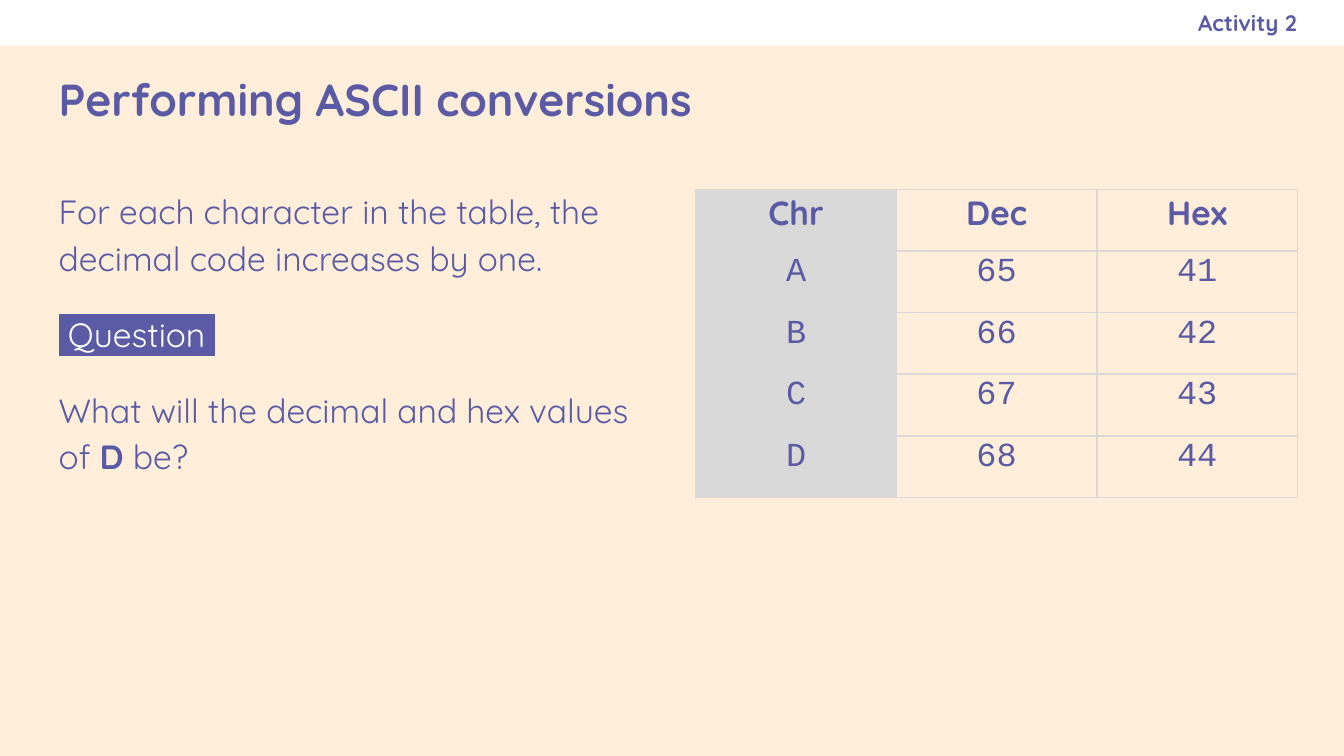
from dataclasses import dataclass

from lxml import etree
from pptx import Presentation
from pptx import util as u
from pptx.dml.color import RGBColor
from pptx.enum import shapes, text
from pptx.oxml import ns


@dataclass(frozen=True)
class Theme:
    background: str = "FFEFDA"
    band: str = "FFFFFF"
    ink: str = "5B5BA5"
    grid: str = "D9D9D9"
    font: str = "Quicksand"
    code_font: str = "Courier New"
    title_size: int = 24
    body_size: int = 18
    label_size: int = 12


@dataclass(frozen=True)
class Box:
    left: float
    top: float
    width: float
    height: float

    def lengths(self) -> list[u.Cm]:
        return [u.Cm(value) for value in (self.left, self.top, self.width, self.height)]


@dataclass(frozen=True)
class Piece:
    words: str
    bold: bool = False
    highlighted: bool = False


@dataclass(frozen=True)
class Passage:
    pieces: tuple[Piece, ...]
    before: int = 0
    after: int = 0


THEME = Theme()
INSET = 0.25
CELL_INSET = 0.05
COLUMN_WIDTH = 3.79
ROW_HEIGHT = 1.164

PASSAGES = (
    Passage((Piece("For each character in the table, the decimal code increases by one."),)),
    Passage((Piece(" Question ", highlighted=True),), before=16),
    Passage((Piece("What will the decimal and hex values of "), Piece("D", bold=True),
             Piece(" be?")), before=16, after=16),
)
HEADINGS = ("Chr", "Dec", "Hex")
CODES = [(letter, str(ord(letter)), f"{ord(letter):X}") for letter in "ABCD"]


def color(value: str) -> RGBColor:
    return RGBColor.from_string(value)


def style(paragraph, size: int, bold: bool = False, name: str = THEME.font) -> None:
    font = paragraph.font
    font.name, font.size, font.bold = name, u.Pt(size), bold
    font.color.rgb = color(THEME.ink)


def add_text_frame(slide, box: Box, anchor, right_inset: float = INSET):
    frame = slide.shapes.add_textbox(*box.lengths()).text_frame
    frame.word_wrap = True
    frame.vertical_anchor = anchor
    frame.margin_left = frame.margin_top = frame.margin_bottom = u.Cm(INSET)
    frame.margin_right = u.Cm(right_inset)
    return frame


def add_line(slide, box: Box, words: str, size: int, align, right_inset: float = INSET) -> None:
    frame = add_text_frame(slide, box, text.MSO_ANCHOR.MIDDLE, right_inset)
    paragraph = frame.paragraphs[0]
    paragraph.text = words
    paragraph.alignment = align
    style(paragraph, size, bold=True)


def highlight(run) -> None:
    run.font.color.rgb = color(THEME.band)
    marker = etree.Element(ns.qn("a:highlight"))
    etree.SubElement(marker, ns.qn("a:srgbClr"), val=THEME.ink)
    run.font._element.find(ns.qn("a:solidFill")).addnext(marker)


def add_passages(slide, box: Box, passages: tuple[Passage, ...]) -> None:
    frame = add_text_frame(slide, box, text.MSO_ANCHOR.TOP)
    for index, passage in enumerate(passages):
        paragraph = frame.add_paragraph() if index else frame.paragraphs[0]
        paragraph.line_spacing = 1.15
        paragraph.space_before = u.Pt(passage.before)
        paragraph.space_after = u.Pt(passage.after)
        style(paragraph, THEME.body_size)
        for piece in passage.pieces:
            run = paragraph.add_run()
            run.text = piece.words
            if piece.bold:
                run.font.bold = True
            if piece.highlighted:
                highlight(run)


def add_borders(cell) -> None:
    properties = cell._tc.get_or_add_tcPr()
    for index, side in enumerate(("lnL", "lnR", "lnT", "lnB")):
        line = etree.Element(ns.qn(f"a:{side}"), w=str(u.Pt(1)))
        fill = etree.SubElement(line, ns.qn("a:solidFill"))
        etree.SubElement(fill, ns.qn("a:srgbClr"), val=THEME.grid)
        properties.insert(index, line)


def add_code_table(slide, left: float, top: float, rows: list[tuple[str, ...]]) -> None:
    box = Box(left, top, COLUMN_WIDTH * len(rows[0]), ROW_HEIGHT * len(rows))
    table = slide.shapes.add_table(len(rows), len(rows[0]), *box.lengths()).table
    table.first_row = table.horz_banding = False
    for column in table.columns:
        column.width = u.Cm(COLUMN_WIDTH)
    for row_index, values in enumerate(rows):
        table.rows[row_index].height = u.Cm(ROW_HEIGHT)
        for column_index, value in enumerate(values):
            cell = table.cell(row_index, column_index)
            cell.margin_left = cell.margin_right = u.Cm(CELL_INSET)
            cell.margin_top = cell.margin_bottom = u.Cm(CELL_INSET)
            if column_index == 0:
                cell.fill.solid()
                cell.fill.fore_color.rgb = color(THEME.grid)
            else:
                cell.fill.background()
            add_borders(cell)
            paragraph = cell.text_frame.paragraphs[0]
            paragraph.text = value
            paragraph.alignment = text.PP_ALIGN.CENTER
            heading = row_index == 0
            style(paragraph, THEME.body_size, heading,
                  THEME.font if heading else THEME.code_font)


def main() -> None:
    presentation = Presentation()
    presentation.slide_width, presentation.slide_height = u.Cm(25.4), u.Cm(14.29)
    slide = presentation.slides.add_slide(presentation.slide_layouts[6])
    slide.background.fill.solid()
    slide.background.fill.fore_color.rgb = color(THEME.background)

    # Top band
    band = slide.shapes.add_shape(shapes.MSO_SHAPE.RECTANGLE, *Box(0, 0, 25.4, 0.86).lengths())
    band.shadow.inherit = False
    band.fill.solid()
    band.fill.fore_color.rgb = color(THEME.band)
    band.line.fill.background()

    # Question text
    add_passages(slide, Box(0.86, 3.25, 11.38, 10.16), PASSAGES)

    # Title and activity label
    add_line(slide, Box(0.86, 0.89, 23.67, 1.93), "Performing ASCII conversions",
             THEME.title_size, text.PP_ALIGN.LEFT)
    add_line(slide, Box(14.6, 0, 9.91, 0.86), "Activity 2",
             THEME.label_size, text.PP_ALIGN.RIGHT, right_inset=0)

    # Character codes
    add_code_table(slide, 13.15, 3.58, [HEADINGS, *CODES])

    presentation.save("out.pptx")


if __name__ == "__main__":
    main()
